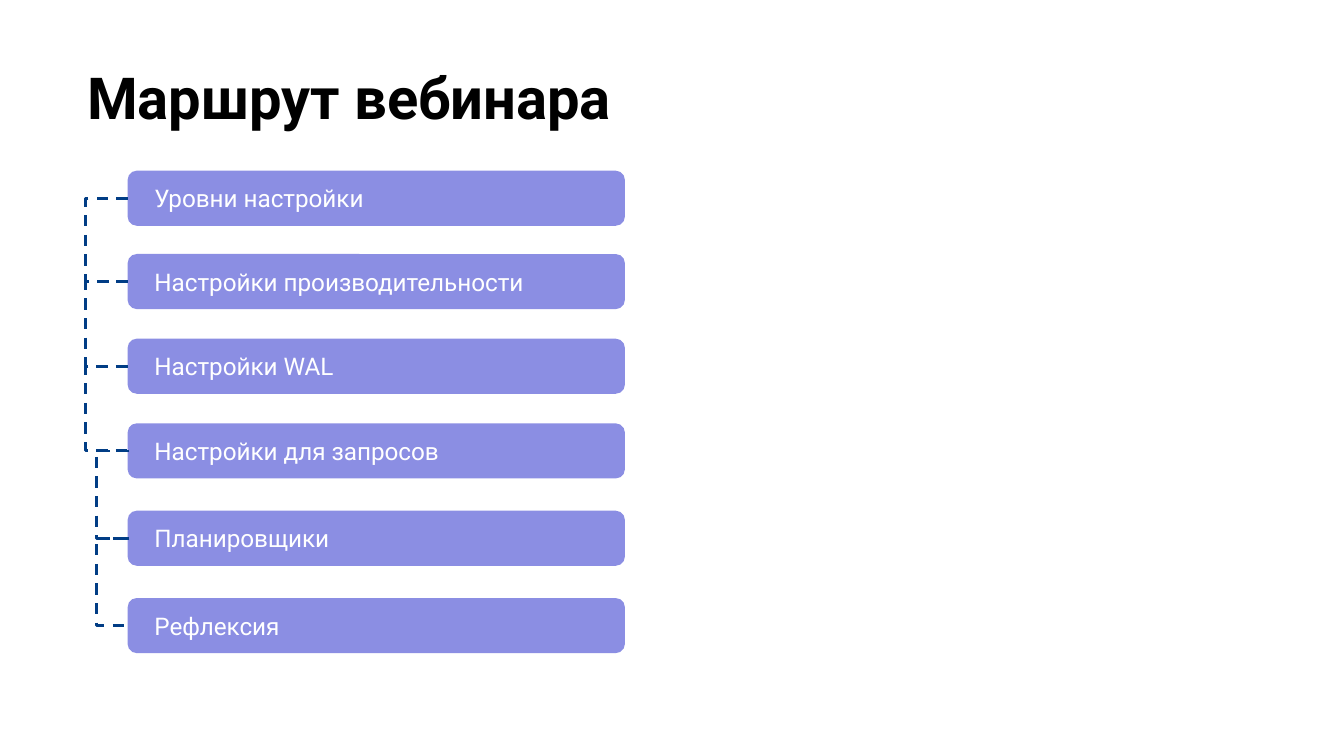
import pptx
import pptx.dml.color
import pptx.enum.dml
import pptx.enum.shapes
import pptx.enum.text
import pptx.oxml.ns
import pptx.util
from lxml import etree

Inches = pptx.util.Inches
COLORS = {"title": "000000", "bar": "8B8EE3", "bar_text": "FFFFFF", "route": "013D85"}
STOPS = [
    ("Уровни настройки", 0),
    ("Настройки производительности", 0.62),
    ("Настройки WAL", 1.25),
    ("Настройки для запросов", 1.88),
    ("Планировщики", 2.53),
    ("Рефлексия", 3.18),
]
BAR_HEIGHT = 0.41
OUTER = {"shift": pptx.util.Emu(-600), "bend": -396.88}
INNER = {"shift": pptx.util.Pt(1), "bend": 18}
BRACKETS = [OUTER] * 3 + [INNER] * 2


def rgb(name):
    """Return the named palette colour."""
    return pptx.dml.color.RGBColor.from_string(COLORS[name])


def write(sp, text, size, color, bold=False, inset=0.1, anchor="TOP"):
    """Put one left-aligned formatted paragraph into a shape."""
    tf = sp.text_frame
    tf.word_wrap = True
    tf.margin_left = tf.margin_right = Inches(inset)
    tf.margin_top = tf.margin_bottom = Inches(0.1)
    tf.vertical_anchor = getattr(pptx.enum.text.MSO_ANCHOR, anchor)
    p = tf.paragraphs[0]
    p.alignment = pptx.enum.text.PP_ALIGN.LEFT
    r = p.add_run()
    r.text = text
    r.font.name = "Roboto"
    r.font.size = pptx.util.Pt(size)
    r.font.bold = bold
    r.font.color.rgb = rgb(color)


def add_title(s, left, top, width, height):
    """Place the slide title in its box."""
    sp = s.shapes.add_textbox(Inches(left), Inches(top), Inches(width), Inches(height))
    write(sp, "Маршрут вебинара", 31, "title", bold=True)


def add_bar(s, text, left, top, width):
    """Place one rounded bar of the route."""
    sp = s.shapes.add_shape(
        pptx.enum.shapes.MSO_SHAPE.ROUNDED_RECTANGLE,
        Inches(left), Inches(top), Inches(width), Inches(BAR_HEIGHT),
    )
    sp.adjustments[0] = 0.167
    sp.shadow.inherit = False
    sp.fill.solid()
    sp.fill.fore_color.rgb = rgb("bar")
    sp.line.fill.background()
    write(sp, text, 13, "bar_text", inset=0.18, anchor="MIDDLE")


def add_bracket(s, left, y1, y2, shift, bend):
    """Draw a dashed bracket whose bend is a multiple of its tiny width."""
    link = s.shapes.add_connector(
        pptx.enum.shapes.MSO_CONNECTOR.ELBOW,
        Inches(left) + shift, Inches(y1), Inches(left), Inches(y2),
    )
    link.line.color.rgb = rgb("route")
    link.line.width = pptx.util.Pt(1.5)
    link.line.dash_style = pptx.enum.dml.MSO_LINE.DASH
    qn = pptx.oxml.ns.qn
    sp_pr = link._element.spPr
    etree.SubElement(sp_pr, qn("a:effectLst"))
    geom = sp_pr.find(qn("a:prstGeom"))
    guides = geom.find(qn("a:avLst"))
    if guides is None:
        guides = etree.SubElement(geom, qn("a:avLst"))
    etree.SubElement(guides, qn("a:gd"), name="adj1", fmla=f"val {round(bend * 100000)}")


def add_route(s, left, top, width):
    """Place the route bars and the brackets between neighbours."""
    for text, offset in STOPS:
        add_bar(s, text, left, top + offset, width)
    middles = [top + offset + BAR_HEIGHT / 2 for _, offset in STOPS]
    for y1, y2, bracket in zip(middles, middles[1:], BRACKETS):
        add_bracket(s, left, y1, y2, **bracket)


def main():
    """Build and save the slide."""
    prs = pptx.Presentation()
    prs.slide_width = Inches(10)
    prs.slide_height = prs.slide_width * 9 // 16
    s = prs.slides.add_slide(prs.slide_layouts[6])
    add_title(s, 0.55, 0.36, 9.32, 1.2)
    add_route(s, 0.95, 1.27, 3.7)
    prs.save("out.pptx")


if __name__ == "__main__":
    main()
